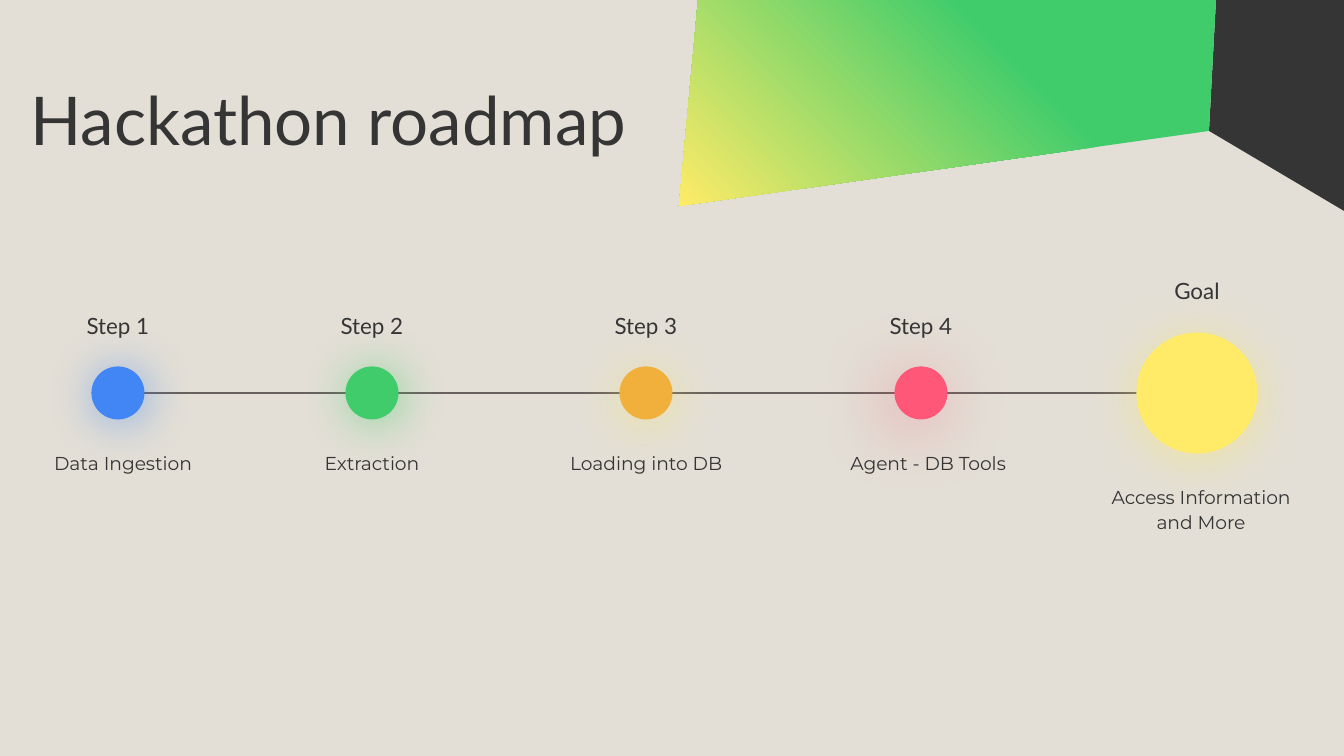
from lxml import etree
from pptx import Presentation
from pptx import util as u
from pptx.dml.color import RGBColor
from pptx.enum import shapes, text
from pptx.oxml.ns import qn

PX = 914400 / 134.4
W, H = 1344, 756
INK, PAPER = "353535", "E3DFD6"
GREEN, YELLOW = "41CC6B", "FFEB67"
TITLE = "Hackathon roadmap"
LINE_Y = 393

# Glow: colour, opacity %, blur pt, distance pt, direction in degrees
SMALL = {"d": 53, "label_y": 299, "note_y": 435, "note_h": 156}
LARGE = {"d": 121, "label_y": 264, "note_y": 469, "note_h": 211}
FIT, NO_FIT = text.MSO_AUTO_SIZE.TEXT_TO_FIT_SHAPE, text.MSO_AUTO_SIZE.NONE
# label, note, centre x, colour, glow, note centre x, note width, note fit, size
STEPS = [
    ("Step 1", "Data Ingestion", 118, "4285F4", ("4285F4", 56, 25.9, 2.2, 45), 123, 202, NO_FIT, SMALL),
    ("Step 2", "Extraction", 372, GREEN, (GREEN, 56, 25.9, 2.2, 45), 372, 202, FIT, SMALL),
    ("Step 3", "Loading into DB", 646, "F0B03B", (YELLOW, 50, 27, 3, 90), 646, 233, FIT, SMALL),
    ("Step 4", "Agent - DB Tools", 921, "FF5777", ("FF5777", 50, 38.2, 6, 130), 928, 219, FIT, SMALL),
    ("Goal", "Access Information and More", 1197, YELLOW, (YELLOW, 50, 27, 3, 90), 1201, 242, FIT, LARGE),
]
DARK_PANEL = [(1209, 131), (W, 211), (W, 0), (1216, 0)]
GREEN_PANEL = [(698, 0), (679, 206), (1209, 131), (1216, 0)]


def px(*values):
    return [u.Emu(round(v * PX)) for v in values]


def rgb(value):
    return RGBColor.from_string(value)


def panel(slide, points):
    builder = slide.shapes.build_freeform(*points[0], scale=PX)
    builder.add_line_segments(points[1:], close=True)
    sp = builder.convert_to_shape()
    sp.shadow.inherit = False
    sp.line.fill.background()
    return sp


def add_glow(sp, color, opacity, blur, dist, angle):
    effects = sp._element.spPr.find(qn("a:effectLst"))
    shadow = etree.SubElement(effects, qn("a:outerShdw"), {
        "blurRad": str(u.Pt(blur)), "dist": str(u.Pt(dist)), "dir": str(angle * 60000),
        "algn": "bl", "rotWithShape": "0"})
    clr = etree.SubElement(shadow, qn("a:srgbClr"), val=color)
    etree.SubElement(clr, qn("a:alpha"), val=str(opacity * 1000))


def write(sp, words, size, font, align, spacing, fit):
    tf = sp.text_frame
    inset = u.Inches(0.1)
    frame = {"word_wrap": True, "auto_size": fit, "vertical_anchor": text.MSO_ANCHOR.TOP,
             "margin_left": inset, "margin_right": inset,
             "margin_top": inset, "margin_bottom": inset}
    for name, value in frame.items():
        setattr(tf, name, value)
    p = tf.paragraphs[0]
    p.alignment, p.line_spacing = align, spacing
    r = p.add_run()
    r.text = words
    r.font.size, r.font.name, r.font.color.rgb = u.Pt(size), font, rgb(INK)


def add_step(slide, label, note, x, color, glow, note_x, note_w, fit, size):
    d = size["d"]
    dot = slide.shapes.add_shape(shapes.MSO_SHAPE.OVAL, *px(x - d / 2, LINE_Y - d / 2, d, d))
    dot.shadow.inherit = False
    dot.fill.solid()
    dot.fill.fore_color.rgb = rgb(color)
    dot.line.fill.background()
    add_glow(dot, *glow)
    center = text.PP_ALIGN.CENTER
    box = slide.shapes.add_textbox(*px(x - 60, size["label_y"], 120, 54))
    write(box, label, 12, "Lato", center, 1.0, NO_FIT)
    box = slide.shapes.add_textbox(*px(note_x - note_w / 2, size["note_y"], note_w, size["note_h"]))
    write(box, note, 10, "Montserrat", center, 1.15, fit)


def main():
    prs = Presentation()
    prs.slide_width, prs.slide_height = px(W, H)
    slide = prs.slides.add_slide(prs.slide_layouts[5])
    slide.background.fill.solid()
    slide.background.fill.fore_color.rgb = rgb(PAPER)

    dark = panel(slide, DARK_PANEL)
    dark.fill.solid()
    dark.fill.fore_color.rgb = rgb(INK)
    fill = panel(slide, GREEN_PANEL).fill
    fill.gradient()
    fill.gradient_angle = 225
    for stop, position, color in zip(fill.gradient_stops, (0.35, 1), (GREEN, YELLOW)):
        stop.position, stop.color.rgb = position, rgb(color)

    title = slide.shapes.title
    title.left, title.top, title.width, title.height = px(17, 74, 856, 101)
    write(title, TITLE, 36, "Lato", text.PP_ALIGN.LEFT, 0.9, text.MSO_AUTO_SIZE.SHAPE_TO_FIT_TEXT)

    line = slide.shapes.add_connector(shapes.MSO_CONNECTOR.STRAIGHT, *px(101, LINE_Y, 1230, LINE_Y))
    line.line.width, line.line.color.rgb = u.Pt(0.75), rgb("69615E")
    etree.SubElement(line._element.spPr, qn("a:effectLst"))

    for step in STEPS:
        add_step(slide, *step)
    prs.save("out.pptx")


if __name__ == "__main__":
    main()
